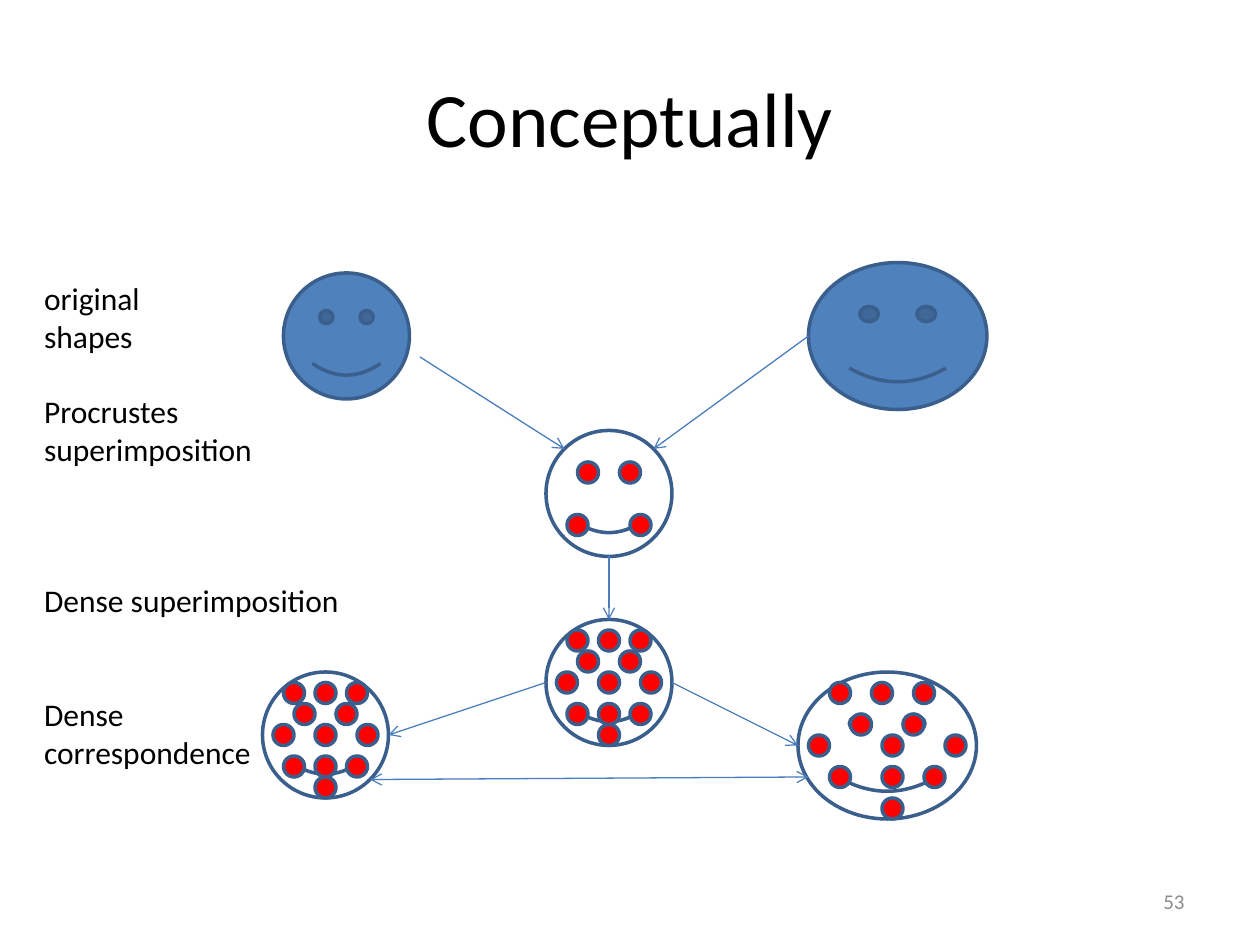
from lxml import etree
from pptx import Presentation
from pptx.dml.color import RGBColor
from pptx.enum.shapes import MSO_CONNECTOR, MSO_SHAPE
from pptx.enum.text import MSO_ANCHOR, PP_ALIGN
from pptx.oxml.ns import qn
from pptx.util import Cm, Pt

SMILEY, OVAL = MSO_SHAPE.SMILEY_FACE, MSO_SHAPE.OVAL
STRAIGHT = MSO_CONNECTOR.STRAIGHT
LEFT, CENTER, RIGHT = PP_ALIGN.LEFT, PP_ALIGN.CENTER, PP_ALIGN.RIGHT
TOP, MIDDLE = MSO_ANCHOR.TOP, MSO_ANCHOR.MIDDLE

BLACK = RGBColor(0x00, 0x00, 0x00)
GREY = RGBColor(0x8C, 0x8C, 0x8C)
RED = RGBColor(0xFF, 0x00, 0x00)
BLUE = RGBColor(0x4F, 0x81, 0xBD)
OUTLINE = RGBColor(0x3A, 0x5F, 0x8C)
ARROW = RGBColor(0x4B, 0x7E, 0xBC)

# The diagram sits on a grid of twelve steps to the inch.
STEP = 2.54 / 12
DOT = 2

# Left, top, width, height of each face, in grid steps
ORIGINALS = [(27, 26, 12, 12), (77, 25, 17, 14)]
SPARSE_FACE = (52, 41, 12, 12)
DENSE_FACE = (52, 59, 12, 12)
LEFT_FACE = (25, 64, 12, 12)
WIDE_FACE = (76, 64, 17, 14)

# Landmark offsets from a face's top left corner, in grid steps
SPARSE = [(3, 3), (7, 3), (2, 8), (8, 8)]
DENSE = SPARSE + [(2, 1), (5, 1), (8, 1), (1, 5), (5, 5), (9, 5), (5, 8), (5, 10)]
WIDE = [(5, 4), (10, 4), (3, 9), (12, 9), (3, 1), (7, 1), (11, 1),
        (1, 6), (8, 6), (14, 6), (8, 9), (8, 12)]
MARKED_FACES = [(SPARSE_FACE, SPARSE), (DENSE_FACE, DENSE),
                (LEFT_FACE, DENSE), (WIDE_FACE, WIDE)]

# Start and end of each one-way arrow, in grid steps
ARROWS = [((40, 34), (53.76, 42.76)), ((77, 32), (62.24, 42.76)),
          ((58, 53), (58, 59)), ((52, 65), (37, 70)), ((64, 65), (76, 71))]
TWO_WAY = ((35.24, 74.24), (77, 74))

# Stage label and the empty lines above it
STAGES = [("original", 0), ("shapes", 0), ("Procrustes", 1), ("superimposition", 0),
          ("Dense superimposition", 3), ("Dense", 2), ("correspondence", 0)]
LINE_HEIGHT = 21.6


def grid(n):
    return Cm(n * STEP)


def write(p, text, size=18, color=BLACK, align=LEFT, before=0):
    p.alignment = align
    if before:
        p.space_before = Pt(before)
    r = p.add_run()
    r.text = text
    r.font.name = "Calibri"
    r.font.size = Pt(size)
    r.font.color.rgb = color


class Diagram:
    def __init__(self, s, font_size=18):
        self.s = s
        self.font_size = font_size

    def title(self, text):
        sp = self.s.shapes.title
        sp.left, sp.top, sp.width, sp.height = Cm(1.27), Cm(0.76), Cm(22.86), Cm(3.18)
        sp.text_frame.vertical_anchor = MIDDLE
        write(sp.text_frame.paragraphs[0], text, size=44, align=CENTER)

    def shape(self, kind, box, fill=None):
        sp = self.s.shapes.add_shape(kind, *map(grid, box))
        sp.shadow.inherit = False
        if fill is None:
            sp.fill.background()
        else:
            sp.fill.solid()
            sp.fill.fore_color.rgb = fill
        sp.line.color.rgb = OUTLINE
        sp.line.width = Pt(2)

    def landmarks(self, face, offsets):
        for dx, dy in offsets:
            self.shape(OVAL, (face[0] + dx, face[1] + dy, DOT, DOT), RED)

    def arrow(self, start, end, ends=("tailEnd",)):
        line = self.s.shapes.add_connector(STRAIGHT, *map(grid, start + end))
        line.line.color.rgb = ARROW
        line.line.width = Pt(0.75)
        ln = line.line._get_or_add_ln()
        for name in ends:
            etree.SubElement(ln, qn(f"a:{name}"), type="arrow")
        etree.SubElement(line._element.spPr, qn("a:effectLst"))

    def text(self, box, items, anchor=TOP, **style):
        """Write (text, empty lines above) items as paragraphs of one box."""
        tf = self.s.shapes.add_textbox(*map(Cm, box)).text_frame
        tf.word_wrap = True
        tf.vertical_anchor = anchor
        style = {"size": self.font_size, **style}
        for i, (text, gap) in enumerate(items):
            p = tf.add_paragraph() if i else tf.paragraphs[0]
            write(p, text, before=gap * LINE_HEIGHT, **style)


def main():
    prs = Presentation()
    prs.slide_width, prs.slide_height = Cm(25.4), Cm(19.05)
    layout = prs.slide_layouts.get_by_name("Title Only")
    d = Diagram(prs.slides.add_slide(layout))

    d.title("Conceptually")
    for face in ORIGINALS:
        d.shape(SMILEY, face, BLUE)
    for face, _ in MARKED_FACES:
        d.shape(SMILEY, face)
    for start, end in ARROWS:
        d.arrow(start, end)
    for face, offsets in MARKED_FACES:
        d.landmarks(face, offsets)
    d.text((0.64, 5.5, 6.6, 11.79), STAGES)
    d.arrow(*TWO_WAY, ends=("headEnd", "tailEnd"))
    d.text((18.2, 17.66, 5.93, 1.01), [("53", 0)], anchor=MIDDLE,
           size=12, color=GREY, align=RIGHT)

    prs.save("out.pptx")


if __name__ == "__main__":
    main()
